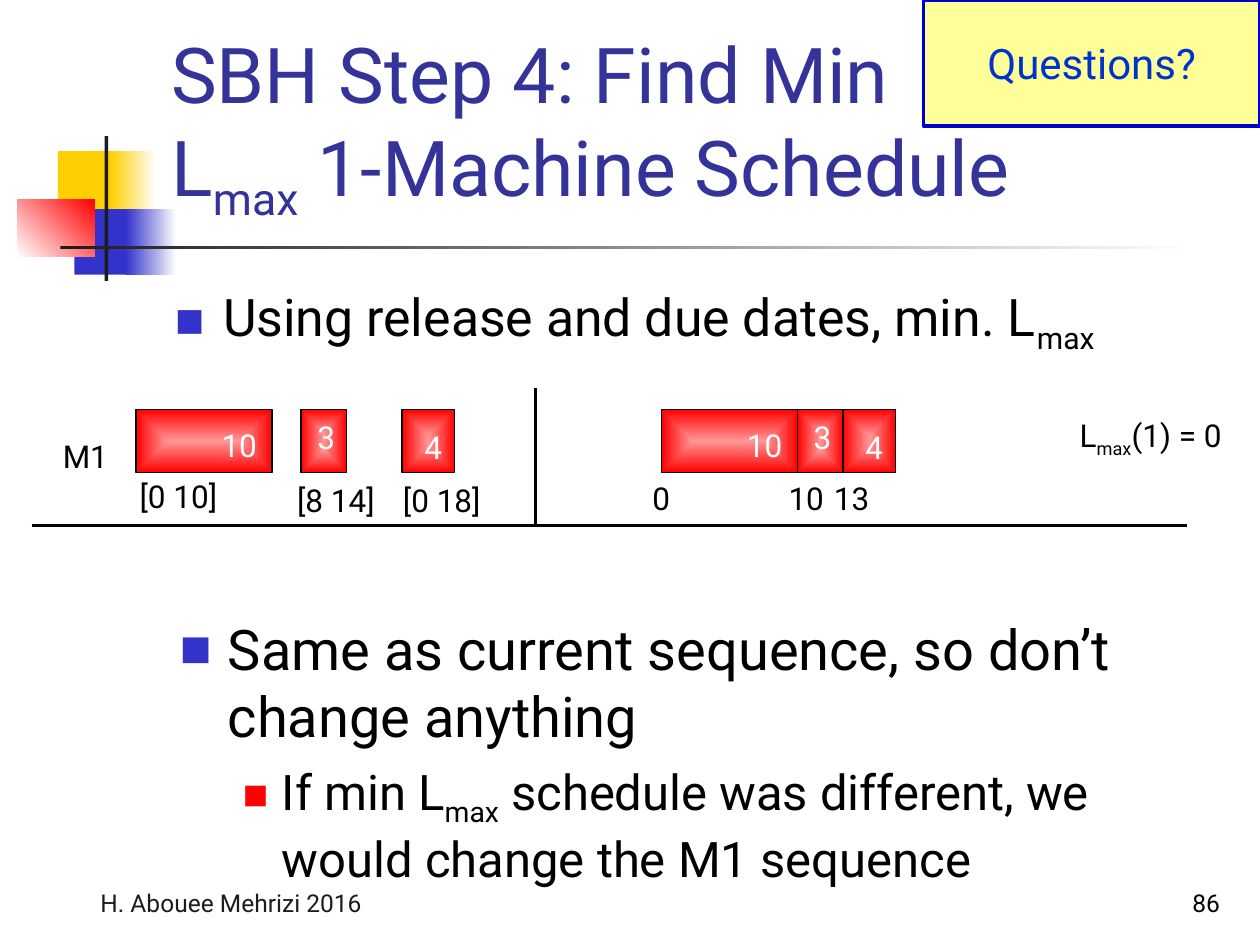
from lxml import etree
from pptx import Presentation
from pptx import util as u
from pptx.dml.color import RGBColor
from pptx.enum import shapes, text
from pptx.oxml.ns import qn

FONT = "Roboto"
RED, BLUE, BLACK, WHITE = "FF0000", "3333CC", "000000", "FFFFFF"
YELLOW, DARK = "FFCF01", "1C1C1C"
# Each job: label, block width, label offset from the block, label top
JOBS = [("10", 1.08, 0.58, 3.33), ("3", 0.36, 0.03, 3.27), ("4", 0.42, 0.08, 3.35)]


def rgb(value):
    return RGBColor.from_string(value)


def box(*lengths):
    return [u.Inches(v) for v in lengths]


def add_runs(p, runs, size, color=BLACK):
    """Runs are strings; a one-item tuple is a subscript, a newline a break."""
    for item in runs:
        if item == "\n":
            p.add_line_break()
            continue
        r = p.add_run()
        r.text = item[0] if isinstance(item, tuple) else item
        r.font.name, r.font.size = FONT, u.Pt(size)
        r.font.color.rgb = rgb(color)
        if isinstance(item, tuple):
            r.font._element.set("baseline", "-25000")


def add_bullet(p, color, percent, left, hanging):
    pPr = p._p.get_or_add_pPr()
    pPr.set("marL", str(u.Inches(left)))
    pPr.set("indent", str(-u.Inches(hanging)))
    clr = etree.SubElement(pPr, qn("a:buClr"))
    etree.SubElement(clr, qn("a:srgbClr"), val=color)
    etree.SubElement(pPr, qn("a:buSzPct"), val=str(percent * 1000))
    etree.SubElement(pPr, qn("a:buFont"), typeface=FONT)
    etree.SubElement(pPr, qn("a:buChar"), char="■")


def add_label(parent, at, runs, size=18, color=BLACK, align=text.PP_ALIGN.LEFT,
              anchor=text.MSO_ANCHOR.TOP, wrap=False):
    tf = parent.add_textbox(*box(*at)).text_frame
    tf.word_wrap, tf.vertical_anchor = wrap, anchor
    p = tf.paragraphs[0]
    p.alignment = align
    add_runs(p, runs, size, color)
    return tf


def add_rect(parent, at, fill, line=None, width=0.75):
    sp = parent.add_shape(shapes.MSO_SHAPE.RECTANGLE, *box(*at))
    sp.shadow.inherit = False
    if isinstance(fill, str):
        sp.fill.solid()
        sp.fill.fore_color.rgb = rgb(fill)
    else:
        start, end, angle = fill
        sp.fill.gradient()
        for stop, color in zip(sp.fill.gradient_stops, (start, end)):
            stop.color.rgb = rgb(color)
        if angle is None:
            # Gradient from the centre to the edges
            lin = sp._element.spPr.find(".//" + qn("a:lin"))
            ring = etree.Element(qn("a:path"), {"path": "rect"})
            etree.SubElement(ring, qn("a:fillToRect"),
                             {side: "50000" for side in "ltrb"})
            lin.getparent().replace(lin, ring)
        else:
            sp.fill.gradient_angle = angle
    if line:
        sp.line.color.rgb = rgb(line)
        sp.line.width = u.Pt(width)
    else:
        sp.line.fill.background()
    return sp


def add_rule(s, *ends):
    ln = s.shapes.add_connector(shapes.MSO_CONNECTOR.STRAIGHT, *box(*ends))
    ln.line.color.rgb = rgb(BLACK)
    ln.line.width = u.Pt(2)
    etree.SubElement(ln._element.spPr, qn("a:effectLst"))


def add_job(parent, x, job):
    label, width, dx, top = job
    add_rect(parent, (x, 3.25, width, 0.5), ("FF9696", RED, None), BLACK)
    add_label(parent, (x + dx, top, 0.2 + 0.14 * len(label), 0.4), [label], color=WHITE)


def place(s, ph, at):
    """Position a placeholder in front of the decoration."""
    ph.left, ph.top, ph.width, ph.height = box(*at)
    s.shapes._spTree.append(ph._element)
    tf = ph.text_frame
    tf.auto_size, tf.word_wrap = text.MSO_AUTO_SIZE.NONE, True
    p = tf.paragraphs[0]
    p.alignment = text.PP_ALIGN.LEFT
    p.space_before = u.Pt(0)
    return tf


def add_decoration(s):
    for at, fill in [
        ((0.46, 1.2, 0.48, 0.52), YELLOW),
        ((0.88, 1.2, 0.36, 0.52), (YELLOW, WHITE, 0)),
        ((0.59, 1.66, 0.46, 0.52), BLUE),
        ((1, 1.66, 0.4, 0.52), (BLUE, WHITE, 0)),
        ((0.14, 1.58, 0.61, 0.46), (WHITE, RED, 45)),
        ((0.83, 1.08, 0.03, 1.15), DARK),
        ((0.48, 1.95, 9, 0.03), (DARK, WHITE, 0)),
    ]:
        add_rect(s.shapes, at, fill)


def add_schedules(s):
    add_label(s.shapes, (0.4, 3.42, 0.57, 0.4), ["M1"])

    # Jobs waiting, with release and due dates
    for x, job in zip((1.08, 2.39, 3.19), JOBS):
        add_job(s.shapes.add_group_shape().shapes, x, job)
    for x, y, dates in [(1.01, 3.74, "[0 10]"), (2.26, 3.77, "[8 14]"),
                        (3.1, 3.77, "[0 18]")]:
        add_label(s.shapes, (x, y, 0.86, 0.4), [dates])
    add_rule(s, 0.25, 4.17, 9.42, 4.17)
    add_rule(s, 4.25, 3.08, 4.25, 4.17)

    # Jobs in sequence, with start times
    group = s.shapes.add_group_shape().shapes
    x = 5.25
    for job in JOBS:
        add_job(group, x, job)
        x += job[1]
    add_label(group, (8.47, 3.25, 1.33, 0.44), ["L", ("max",), "(1) = 0"])
    for x, width, time in [(5.08, 0.34, "0"), (6.16, 0.48, "10"), (6.52, 0.48, "13")]:
        add_label(group, (x, 3.75, width, 0.4), [time])


def main():
    prs = Presentation()
    prs.slide_width, prs.slide_height = box(10, 7.5)
    s = prs.slides.add_slide(prs.slide_layouts[1])
    add_decoration(s)

    # Footer and page number
    bottom = text.MSO_ANCHOR.BOTTOM
    add_label(s.shapes, (0.25, 6.83, 3.17, 0.5), ["H. Abouee Mehrizi 2016"], 14,
              DARK, text.PP_ALIGN.CENTER, bottom, True)
    add_label(s.shapes, (7.7, 6.83, 2.08, 0.5), ["86"], 14,
              BLACK, text.PP_ALIGN.RIGHT, bottom, True)

    # Title and first point
    tf = place(s, s.shapes.title, (1.26, 0.23, 8.52, 1.6))
    tf.vertical_anchor = bottom
    add_runs(tf.paragraphs[0], ["SBH Step 4: Find Min", "\n", "L", ("max",),
                                " 1-Machine Schedule"], 44, "333399")
    tf = place(s, s.placeholders[1], (1.29, 2.21, 8.5, 0.71))
    add_bullet(tf.paragraphs[0], BLUE, 60, 0.38, 0.38)
    add_runs(tf.paragraphs[0], ["Using release and due dates, min. L", ("max",)], 29.6)

    add_schedules(s)

    # Conclusion
    tf = add_label(s.shapes, (1.33, 4.83, 8.5, 2.33),
                   ["Same as current sequence, so don’t change anything"], 32, wrap=True)
    add_bullet(tf.paragraphs[0], BLUE, 60, 0.38, 0.38)
    p = tf.add_paragraph()
    p.level, p.space_before = 1, u.Pt(7)
    add_bullet(p, RED, 55, 0.81, 0.31)
    add_runs(p, ["If min L", ("max",),
                 " schedule was different, we would change the M1 sequence"], 28)

    # Questions box
    tf = add_rect(s.shapes, (7.33, 0, 2.67, 1), "FFFF99", "0000CC", 2).text_frame
    tf.word_wrap, tf.vertical_anchor = False, text.MSO_ANCHOR.MIDDLE
    tf.paragraphs[0].alignment = text.PP_ALIGN.CENTER
    add_runs(tf.paragraphs[0], ["Questions?"], 24, "0033CC")

    prs.save("out.pptx")


if __name__ == "__main__":
    main()
